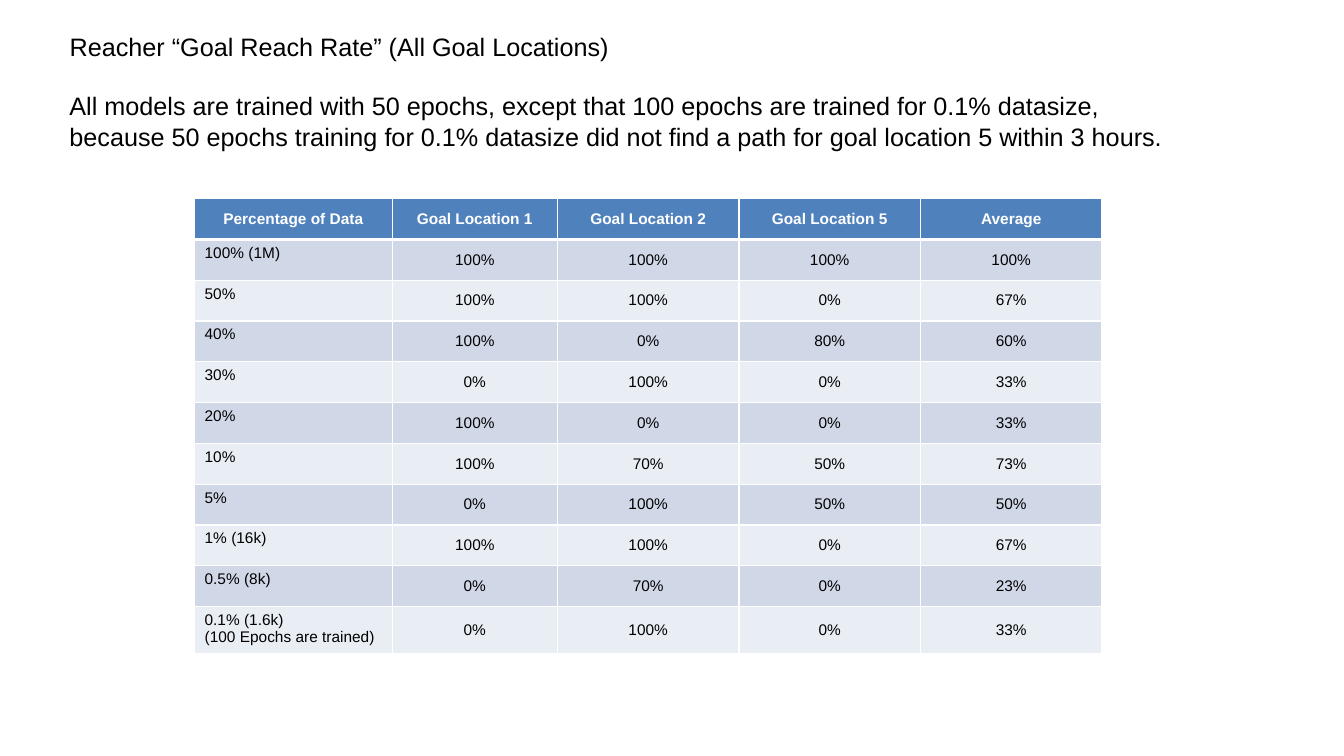
from lxml.etree import SubElement
from pptx import Presentation
from pptx.dml.color import RGBColor
from pptx.enum.text import MSO_ANCHOR, MSO_AUTO_SIZE, PP_ALIGN
from pptx.oxml.ns import qn
from pptx.util import Inches, Pt

HEADER_BLUE, BAND_DARK, BAND_LIGHT = "4F81BD", "D0D8E8", "E9EDF4"
WHITE, BLACK = "FFFFFF", "000000"
HEADER = ["Percentage of Data", "Goal Location 1", "Goal Location 2", "Goal Location 5", "Average"]
REACH_RATES = [
    ("100% (1M)", 100, 100, 100, 100),
    ("50%", 100, 100, 0, 67),
    ("40%", 100, 0, 80, 60),
    ("30%", 0, 100, 0, 33),
    ("20%", 100, 0, 0, 33),
    ("10%", 100, 70, 50, 73),
    ("5%", 0, 100, 50, 50),
    ("1% (16k)", 100, 100, 0, 67),
    ("0.5% (8k)", 0, 70, 0, 23),
    ("0.1% (1.6k)\n(100 Epochs are trained)", 0, 100, 0, 33),
]
COLUMN_WIDTHS = [1.96, 1.64, 1.8, 1.8, 1.8]
BODY_ROW_SPAN, LAST_ROW_HEIGHT = 4.05, 0.46


def write_text(frame, text, size=18, color=BLACK, bold=False, align=PP_ALIGN.LEFT):
    frame.text = text
    for paragraph in frame.paragraphs:
        paragraph.alignment = align
        font = paragraph.runs[0].font
        font.name, font.size, font.bold = "Arial", Pt(size), bold
        font.color.rgb = RGBColor.from_string(color)


def add_white_borders(cell, top, bottom):
    """Draw the cell's four edges; top and bottom are widths in points."""
    properties = cell._tc.get_or_add_tcPr()
    for edge, width in (("L", 1), ("R", 1), ("T", top), ("B", bottom)):
        line = SubElement(properties, qn(f"a:ln{edge}"), w=str(Pt(width)))
        SubElement(SubElement(line, qn("a:solidFill")), qn("a:srgbClr"), val=WHITE)


presentation = Presentation()
presentation.slide_width, presentation.slide_height = Inches(13.33), Inches(7.5)
slide = presentation.slides.add_slide(presentation.slide_layouts[5])

# Title and explanation
title = slide.shapes.title
title.left, title.top, title.width, title.height = map(Inches, (0.59, 0.26, 12.1, 0.4))
explanation = slide.shapes.add_textbox(*map(Inches, (0.59, 0.85, 11.05, 0.71)))
for shape, text in (
    (title, "Reacher “Goal Reach Rate” (All Goal Locations)"),
    (explanation, "All models are trained with 50 epochs, except that 100 epochs are trained for "
                  "0.1% datasize, because 50 epochs training for 0.1% datasize did not find a path "
                  "for goal location 5 within 3 hours."),
):
    frame = shape.text_frame
    frame.word_wrap = True
    frame.auto_size = MSO_AUTO_SIZE.SHAPE_TO_FIT_TEXT
    frame.vertical_anchor = MSO_ANCHOR.TOP
    write_text(frame, text)

# Reach rate table
rows = [HEADER] + [[label] + [f"{rate}%" for rate in rates] for label, *rates in REACH_RATES]
last_row = len(rows) - 1
table = slide.shapes.add_table(
    len(rows), len(HEADER), Inches(1.93), Inches(1.97),
    Inches(sum(COLUMN_WIDTHS)), Inches(BODY_ROW_SPAN + LAST_ROW_HEIGHT),
).table
table.first_row = table.horz_banding = False
for column, width in zip(table.columns, COLUMN_WIDTHS):
    column.width = Inches(width)

for row_index, values in enumerate(rows):
    is_header = row_index == 0
    height = LAST_ROW_HEIGHT if row_index == last_row else BODY_ROW_SPAN / last_row
    table.rows[row_index].height = Inches(height)
    band = HEADER_BLUE if is_header else BAND_DARK if row_index % 2 else BAND_LIGHT
    for column_index, value in enumerate(values):
        cell = table.cell(row_index, column_index)
        is_label = column_index == 0 and not is_header
        add_white_borders(cell, top=3 if row_index == 1 else 1, bottom=3 if is_header else 1)
        cell.fill.solid()
        cell.fill.fore_color.rgb = RGBColor.from_string(band)
        cell.vertical_anchor = MSO_ANCHOR.TOP if is_label else MSO_ANCHOR.MIDDLE
        write_text(cell.text_frame, value, size=11, bold=is_header,
                   color=WHITE if is_header else BLACK,
                   align=PP_ALIGN.LEFT if is_label else PP_ALIGN.CENTER)

presentation.save("out.pptx")
